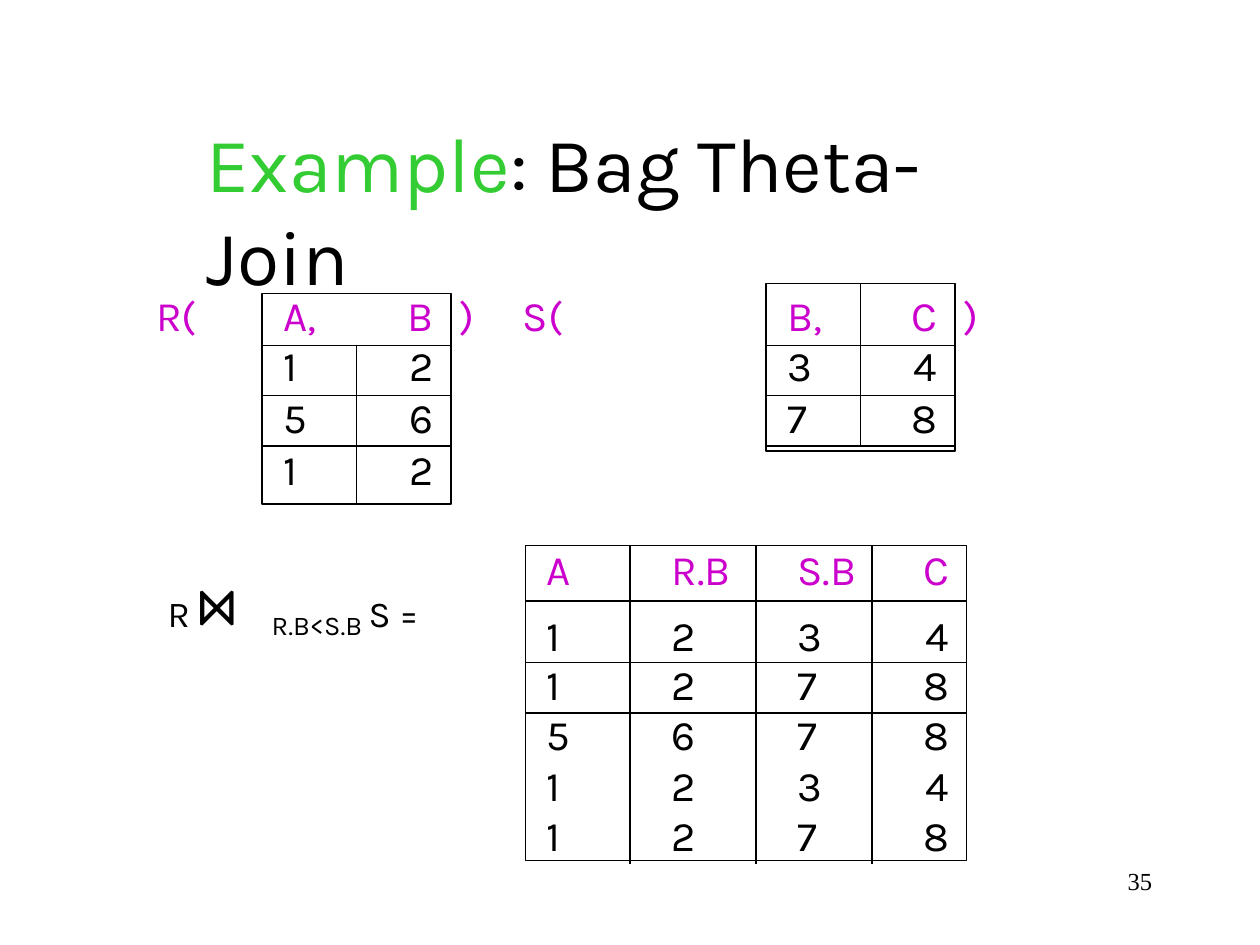
import pptx
import pptx.dml.color
import pptx.enum.shapes
import pptx.enum.text
import pptx.oxml
import pptx.oxml.ns
import pptx.util
from pptx.util import Inches

BLACK = pptx.dml.color.RGBColor(0x00, 0x00, 0x00)
GREEN = pptx.dml.color.RGBColor(0x33, 0xCC, 0x33)
MAGENTA = pptx.dml.color.RGBColor(0xCC, 0x00, 0xCC)
PLAIN_TABLE_STYLE = "{2D5ABB26-0587-4C30-8999-92F81FD0307C}"
NS = 'xmlns:a="http://schemas.openxmlformats.org/drawingml/2006/main"'
RIGHT = "right"


def style_run(run, size, color=BLACK, font="Karla", baseline=0):
    run.font.size = pptx.util.Pt(size)
    run.font.name = font
    run.font.color.rgb = color
    if baseline:
        run.font._element.set("baseline", str(baseline * 1000))


def set_indent(paragraph, inches):
    properties = paragraph._p.get_or_add_pPr()
    properties.set("marL", str(Inches(inches)))
    properties.set("indent", "0")


def add_text(slide, left, top, width, height, indent, runs, inset=0.01):
    """Each run is (text, size, then optional colour, font, baseline percent)."""
    frame = slide.shapes.add_textbox(
        Inches(left), Inches(top), Inches(width), Inches(height)).text_frame
    frame.word_wrap = True
    frame.margin_left = frame.margin_right = frame.margin_bottom = 0
    frame.margin_top = Inches(inset)
    paragraph = frame.paragraphs[0]
    set_indent(paragraph, indent)
    for text, *style in runs:
        run = paragraph.add_run()
        run.text = text
        style_run(run, *style)
    return paragraph


def add_frame(slide, left, top, width, height):
    frame = slide.shapes.add_shape(
        pptx.enum.shapes.MSO_SHAPE.RECTANGLE,
        Inches(left), Inches(top), Inches(width), Inches(height))
    frame.shadow.inherit = False
    frame.fill.background()
    frame.line.color.rgb = BLACK
    frame.line.width = pptx.util.Pt(0.75)


def add_border(cell, side, points):
    cell._tc.get_or_add_tcPr().append(pptx.oxml.parse_xml(
        f'<a:ln{side} {NS} w="{int(points * 12700)}"><a:solidFill>'
        f'<a:srgbClr val="{BLACK}"/></a:solidFill></a:ln{side}>'))


def fill_cell(cell, text, indent, inset, spacing, color):
    cell.margin_left = cell.margin_bottom = 0
    cell.margin_right = Inches(0.14) if indent == RIGHT else 0
    cell.margin_top = Inches(inset)
    if not text:
        return
    paragraph = cell.text_frame.paragraphs[0]
    paragraph.text = text
    paragraph.line_spacing = pptx.util.Pt(spacing)
    if indent == RIGHT:
        paragraph.alignment = pptx.enum.text.PP_ALIGN.RIGHT
    else:
        set_indent(paragraph, indent)
    if "\t" in text:
        paragraph._p.get_or_add_pPr().append(pptx.oxml.parse_xml(
            f'<a:tabLst {NS}><a:tab pos="{Inches(1.67)}" algn="l"/></a:tabLst>'))
    for run in paragraph.runs:
        style_run(run, 24, color)


def add_relation(slide, left, top, columns, rows, borders):
    """Columns are (width, indent); rows are (height, inset, spacing, texts)."""
    shape = slide.shapes.add_table(
        len(rows), len(columns), Inches(left), Inches(top),
        Inches(sum(width for width, _ in columns)),
        Inches(sum(row[0] for row in rows)))
    table = shape.table
    table.first_row = table.horz_banding = False
    table._tbl.tblPr.find(pptx.oxml.ns.qn("a:tableStyleId")).text = PLAIN_TABLE_STYLE
    for c, (width, _) in enumerate(columns):
        table.columns[c].width = Inches(width)
    for r, (height, inset, spacing, texts) in enumerate(rows):
        table.rows[r].height = Inches(height)
        for c, (_, indent) in enumerate(columns):
            cell = table.cell(r, c)
            fill_cell(cell, texts[c], indent, inset, spacing,
                      BLACK if r else MAGENTA)
            for side, points in borders(r, c):
                add_border(cell, side, points)
            cell.fill.background()


def operand_borders(row, column):
    """Rules of R (columns 1, 2) and S (columns 4, 5)."""
    if (column == 1 and row > 0) or (column == 4 and row < 3):
        yield "R", 0.75
    if (column == 2 and row > 0) or (column == 5 and row < 3):
        yield "L", 0.75
    if column in (1, 2, 4, 5):
        if row in (1, 2):
            yield "T", 0.75
        if row in (0, 1):
            yield "B", 0.75


def result_borders(row, column):
    if column > 0:
        yield "L", 0.75 if column == 1 else 1
    if column < 3:
        yield "R", 0.75 if column == 0 else 1
    if row in (1, 2):
        yield "T", 1
    if row in (0, 1):
        yield "B", 1


def main():
    deck = pptx.Presentation()
    deck.slide_width, deck.slide_height = Inches(10), Inches(7.5)
    slide = deck.slides.add_slide(deck.slide_layouts[6])

    # Title
    add_text(slide, 1.63, 0.91, 6.73, 0.76, 0.01,
             [("Example", 44, GREEN), (": Bag Theta-Join", 44)])

    # Relations R and S
    add_frame(slide, 2.08, 2.33, 1.5, 1.67)
    add_frame(slide, 6.08, 2.25, 1.5, 1.33)
    add_relation(
        slide, 1.21, 2.25,
        [(0.87, 0.03), (0.75, 0.17), (0.75, RIGHT), (2.5, 0.07),
         (0.75, 0.17), (0.75, RIGHT), (0.24, 0.07)],
        [(0.49, 0.08, 27.9, ["R(", "A,", "B", ")\tS(", "B,", "C", ")"]),
         (0.4, 0, 26.8, ["", "1", "2", "", "3", "4", ""]),
         (0.4, 0, 27.8, ["", "5", "6", "", "7", "8", ""]),
         (0.46, 0, 28.8, ["", "1", "2", "", "", "", ""])],
        operand_borders)

    # Join expression
    add_text(slide, 1.29, 4.2, 2.49, 0.69, 0.04,
             [("R ", 36, BLACK, "Karla", 12),
              ("⋈ ", 60, BLACK, "Courier New", 7),
              ("R.B<S.B ", 15.5),
              ("S =", 36, BLACK, "Karla", 12)])

    # Join result
    add_frame(slide, 4.17, 4.33, 3.5, 2.5)
    add_relation(
        slide, 4.17, 4.33,
        [(0.83, 0.17), (1, 0.33), (0.92, 0.33), (0.75, RIGHT)],
        [(0.44, 0.04, 26.2, ["A", "R.B", "S.B", "C"]),
         (0.48, 0.1, 27.9, "1234")]
        + [(0.4, 0, 27.8, values) for values in ("1278", "5678", "1234", "1278")],
        result_borders)

    # Slide number
    number = add_text(slide, 8.91, 6.88, 0.28, 0.24, 0.04,
                      [("35", 14, BLACK, "Times New Roman")], inset=0)
    number.line_spacing = pptx.util.Pt(16.3)

    deck.save("out.pptx")


if __name__ == "__main__":
    main()
